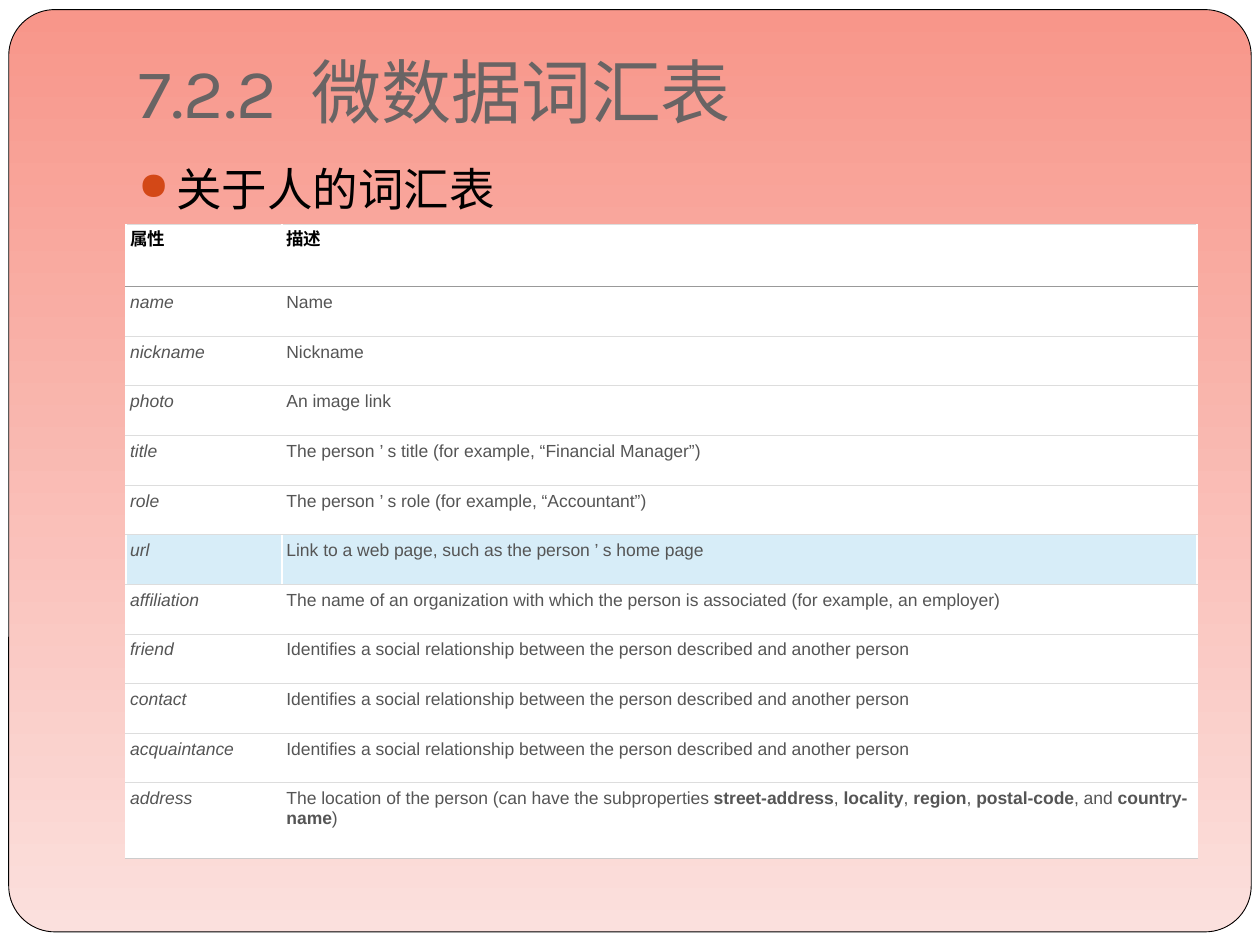
"""Build the slide on the microdata vocabulary for people."""
from dataclasses import dataclass

from lxml.etree import SubElement
from pptx import Presentation
from pptx.dml.color import RGBColor
from pptx.enum.shapes import MSO_SHAPE
from pptx.enum.text import MSO_ANCHOR
from pptx.oxml.ns import qn
from pptx.util import Pt


@dataclass(frozen=True)
class Theme:
    paper: str = "FFFFFF"
    ink: str = "000000"
    heading: str = "696464"
    accent: str = "D34817"
    body: str = "555555"
    highlight: str = "D7EDF8"
    rule: str = "DDDDDD"
    header_rule: str = "999999"
    last_rule: str = "CCCCCC"
    panel_top: str = "F8968A"
    panel_bottom: str = "FBE0DD"
    title_size: float = 40
    topic_size: float = 26
    cell_size: float = 10
    cell_leading: float = 11.2
    title_font: str = "Karla"
    topic_font: str = "Times New Roman"
    cell_font: str = "Arial"


def rgb(value):
    return RGBColor.from_string(value)


def write(paragraph, content, *, font, size, color, bold=False, italic=False, leading=None):
    """Write a string, or (string, changes) pairs, into a paragraph."""
    if leading:
        paragraph.line_spacing = Pt(leading)
    pieces = [(content, {})] if isinstance(content, str) else content
    for words, changes in pieces:
        run = paragraph.add_run()
        run.text = words
        run.font.name, run.font.size = font, Pt(size)
        run.font.color.rgb = rgb(color)
        run.font.bold = changes.get("bold", bold)
        run.font.italic = italic
        if "tracking" in changes:
            run.font._element.set("spc", str(changes["tracking"] * 100))


class VocabularySlide:
    """Hold the theme and the slide, and draw each kind of element."""

    def __init__(self, deck, theme):
        self.theme = theme
        self.slide = deck.slides.add_slide(deck.slide_layouts[6])
        background = self.slide.background.fill
        background.solid()
        background.fore_color.rgb = rgb(theme.paper)

    def panel(self, left, top, width, height):
        panel = self.slide.shapes.add_shape(
            MSO_SHAPE.ROUNDED_RECTANGLE, Pt(left), Pt(top), Pt(width), Pt(height))
        panel.adjustments[0] = 0.05
        panel.shadow.inherit = False
        panel.fill.gradient()
        panel.fill.gradient_angle = 270
        shades = self.theme.panel_top, self.theme.panel_bottom
        for stop, shade, position in zip(panel.fill.gradient_stops, shades, (0, 1)):
            stop.color.rgb = rgb(shade)
            stop.position = position
        panel.line.color.rgb = rgb(self.theme.ink)
        panel.line.width = Pt(0.5)

    def text(self, left, top, width, height, content, *, anchor=MSO_ANCHOR.TOP,
             bottom_inset=3.6, **style):
        frame = self.slide.shapes.add_textbox(
            Pt(left), Pt(top), Pt(width), Pt(height)).text_frame
        frame.word_wrap = True
        frame.vertical_anchor = anchor
        frame.margin_bottom = Pt(bottom_inset)
        write(frame.paragraphs[0], content, **style)
        return frame.paragraphs[0]

    def bullet(self, left, top, width, height, content, *, indent, **style):
        topic = self.text(left, top, width, height, content, **style)
        topic.space_before = Pt(5.8)
        properties = topic._p.get_or_add_pPr()
        properties.set("marL", str(Pt(indent)))
        properties.set("indent", str(-Pt(indent)))
        color = SubElement(properties, qn("a:buClr"))
        SubElement(color, qn("a:srgbClr"), val=self.theme.accent)
        SubElement(properties, qn("a:buSzPct"), val="85000")
        SubElement(properties, qn("a:buChar"), char="●")

    def border(self, cell, side, color, width):
        line = SubElement(cell._tc.get_or_add_tcPr(), qn(f"a:ln{side}"), w=str(Pt(width)))
        fill = SubElement(line, qn("a:solidFill"))
        SubElement(fill, qn("a:srgbClr"), val=color)

    def table(self, left, top, widths, heights, rows, highlighted):
        theme = self.theme
        table = self.slide.shapes.add_table(
            len(rows), len(widths), Pt(left), Pt(top), Pt(sum(widths)), Pt(sum(heights))).table
        table.first_row = table.horz_banding = False
        for column, width in zip(table.columns, widths):
            column.width = Pt(width)
        last = len(rows) - 1
        rules = [theme.header_rule] + [theme.rule] * (last - 1) + [theme.last_rule]
        above, above_width = theme.rule, 0.45
        for r, (entry, height, below) in enumerate(zip(rows, heights, rules)):
            table.rows[r].height = Pt(height)
            header = r == 0
            below_width = 0.75 if header else 0.45
            for c, content in enumerate(entry):
                cell = table.cell(r, c)
                cell.margin_left = Pt(2.4)
                cell.margin_right = Pt(3.6)
                cell.margin_top = cell.margin_bottom = Pt(3.6)
                self.border(cell, "L" if c else "R", theme.paper, 1.08)
                self.border(cell, "T", above, above_width)
                self.border(cell, "B", below, below_width)
                cell.fill.solid()
                cell.fill.fore_color.rgb = rgb(
                    theme.highlight if entry[0] == highlighted else theme.paper)
                write(cell.text_frame.paragraphs[0], content, font=theme.cell_font,
                      size=theme.cell_size, color=theme.ink if header else theme.body,
                      bold=header, italic=not header and c == 0, leading=theme.cell_leading)
            above, above_width = below, below_width


BOLD = {"bold": True}
RELATIONSHIP = "Identifies a social relationship between the person described and another person"
PROPERTIES = [
    ("属性", "描述"),
    ("name", "Name"),
    ("nickname", "Nickname"),
    ("photo", "An image link"),
    ("title", "The person ’ s title (for example, “Financial Manager”)"),
    ("role", "The person ’ s role (for example, “Accountant”)"),
    ("url", "Link to a web page, such as the person ’ s home page"),
    ("affiliation", "The name of an organization with which the person is associated "
                    "(for example, an employer)"),
    ("friend", RELATIONSHIP),
    ("contact", RELATIONSHIP),
    ("acquaintance", RELATIONSHIP),
    ("address", [
        ("The location of the person (can have the subproperties ", {}),
        ("street-address", BOLD), (", ", {}), ("locality", BOLD), (", ", {}),
        ("region", BOLD), (", ", {}), ("postal-code", BOLD), (", and ", {}),
        ("country-name", BOLD), (")", {})]),
]


def main():
    deck = Presentation()
    deck.slide_width, deck.slide_height = Pt(720), Pt(540)
    theme = Theme()
    page = VocabularySlide(deck, theme)
    page.panel(5, 5.5, 710, 527)
    page.text(72, 21.6, 612, 61.2,
              [("7.2.2", {}), (" ", {"tracking": 10}), ("微数据词汇表", {})],
              anchor=MSO_ANCHOR.BOTTOM, bottom_inset=7.2,
              font=theme.title_font, size=theme.title_size, color=theme.heading)
    page.bullet(72, 88.6, 612, 385.2, "关于人的词汇表", indent=21.6,
                font=theme.topic_font, size=theme.topic_size, color=theme.ink)
    heights = [35.4] + [28.4] * (len(PROPERTIES) - 2) + [43.4]
    page.table(72, 128.2, [89.3, 522.7], heights, PROPERTIES, highlighted="url")
    deck.save("out.pptx")


if __name__ == "__main__":
    main()
